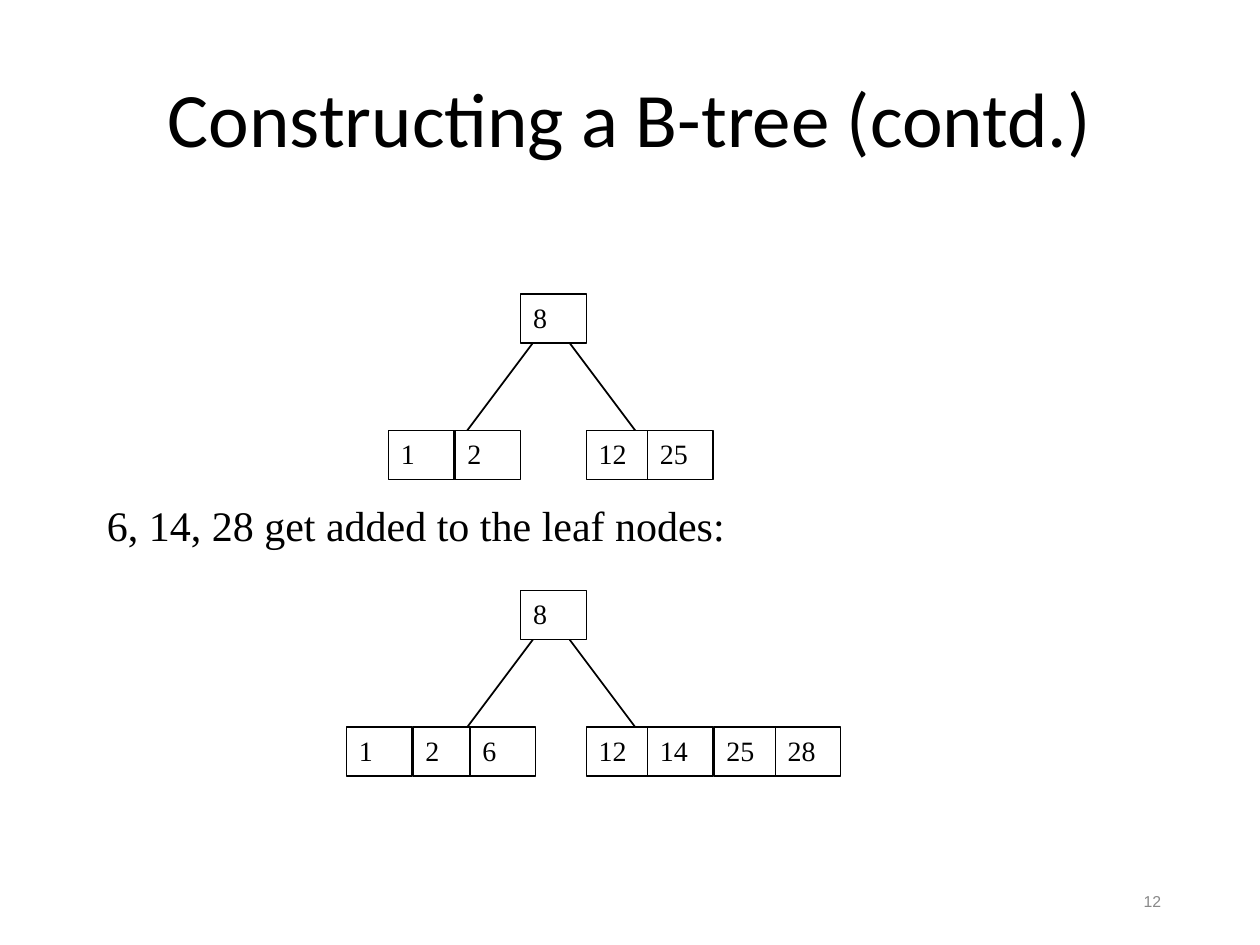
from pptx import Presentation
from pptx.dml.color import RGBColor
from pptx.enum.shapes import MSO_CONNECTOR, MSO_SHAPE
from pptx.enum.text import MSO_ANCHOR, PP_ALIGN
from pptx.oxml.ns import qn
from pptx.util import Pt
from lxml.etree import SubElement

BLACK, WHITE, GRAY = "000000", "FFFFFF", "898989"
SERIF = "Times New Roman"


def color(hex_string):
    return RGBColor.from_string(hex_string)


class TreeSlide:
    node_width, node_height = 37.5, 28
    root_left, leaf_drop = 297.5, 78

    def __init__(self, slide):
        self.slide = slide

    def set_text(self, shape, text, size, font, text_color=BLACK,
                 align=PP_ALIGN.LEFT, anchor=MSO_ANCHOR.TOP):
        frame = shape.text_frame
        frame.word_wrap = True
        frame.vertical_anchor = anchor
        paragraph = frame.paragraphs[0]
        paragraph.text = text
        paragraph.alignment = align
        paragraph.font.size = Pt(size)
        paragraph.font.name = font
        paragraph.font.color.rgb = color(text_color)

    def text(self, left, top, width, height, *content, **style):
        box = self.slide.shapes.add_textbox(Pt(left), Pt(top), Pt(width), Pt(height))
        self.set_text(box, *content, **style)

    def node(self, left, top, key):
        shape = self.slide.shapes.add_shape(
            MSO_SHAPE.RECTANGLE, Pt(left), Pt(top), Pt(self.node_width), Pt(self.node_height))
        shape.shadow.inherit = False
        shape.fill.solid()
        shape.fill.fore_color.rgb = color(WHITE)
        shape.line.color.rgb = color(BLACK)
        shape.line.width = Pt(0.75)
        self.set_text(shape, str(key), 16, SERIF)

    def edge(self, start_x, start_y, end_x, end_y):
        line = self.slide.shapes.add_connector(
            MSO_CONNECTOR.STRAIGHT, Pt(start_x), Pt(start_y), Pt(end_x), Pt(end_y))
        line.line.color.rgb = color(BLACK)
        line.line.width = Pt(1)
        SubElement(line._element.spPr, qn("a:effectLst"))

    def tree(self, top, root, leaves):
        # Edges go first so that the nodes cover their ends
        center = self.root_left + 17.5
        for side in (-1, 1):
            self.edge(center + side * 3, top + 18, center + side * 57, top + 90)
        self.node(self.root_left, top, root)
        for left, key in leaves:
            self.node(left, top + self.leaf_drop, key)


def main():
    presentation = Presentation()
    presentation.slide_width, presentation.slide_height = Pt(720), Pt(540)
    page = TreeSlide(presentation.slides.add_slide(presentation.slide_layouts[6]))

    # Title and page number
    page.text(36, 21.6, 648, 90, "Constructing a B-tree (contd.)", 44, "Calibri",
              align=PP_ALIGN.CENTER, anchor=MSO_ANCHOR.MIDDLE)
    page.text(508.5, 500.5, 162, 28.8, "12", 9, "Arial", text_color=GRAY,
              align=PP_ALIGN.RIGHT, anchor=MSO_ANCHOR.MIDDLE)

    # Tree before the insertions
    page.tree(168, 8, [(222, 1), (260, 2), (335, 12), (370, 25)])

    # Tree after the insertions
    page.text(54, 282, 618, 36, "6, 14, 28 get added to the leaf nodes:", 24, SERIF)
    page.tree(337.5, 8, [(198, 1), (236, 2), (268.5, 6),
                         (335, 12), (370, 14), (408, 25), (443, 28)])

    presentation.save("out.pptx")


if __name__ == "__main__":
    main()
